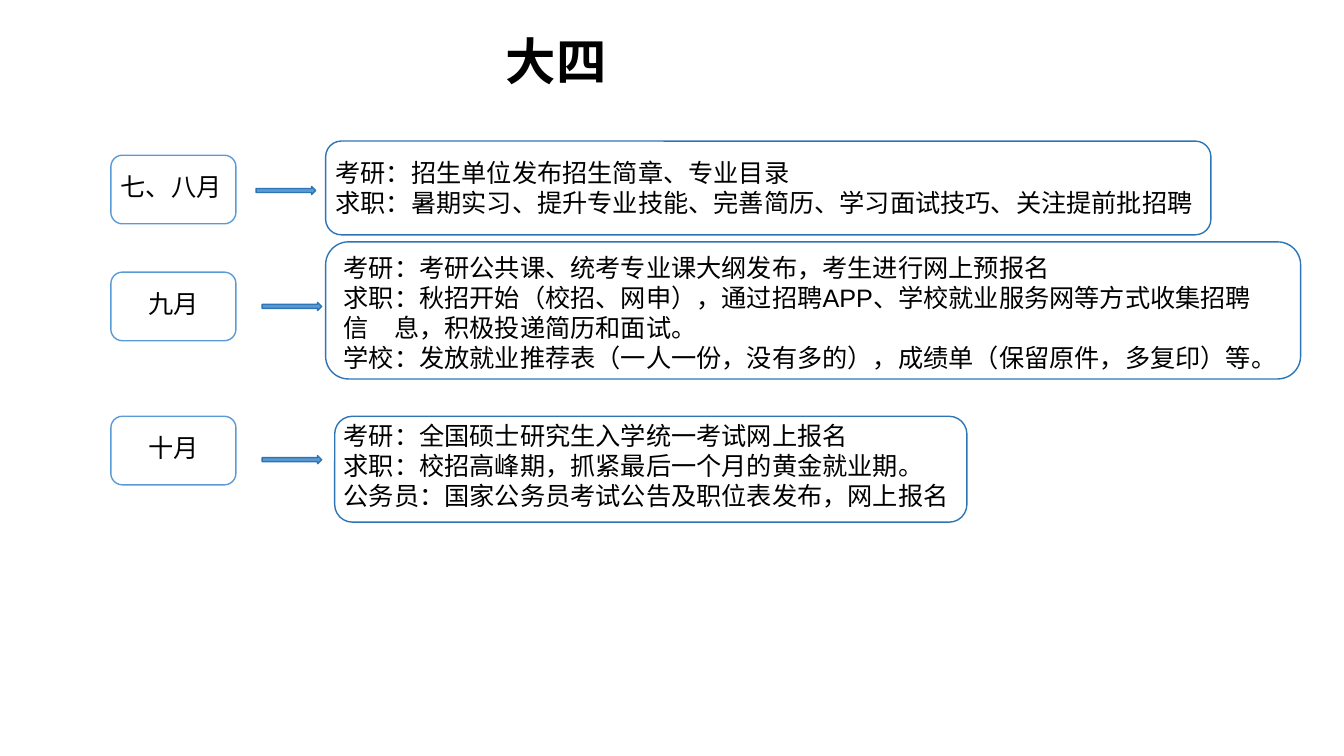
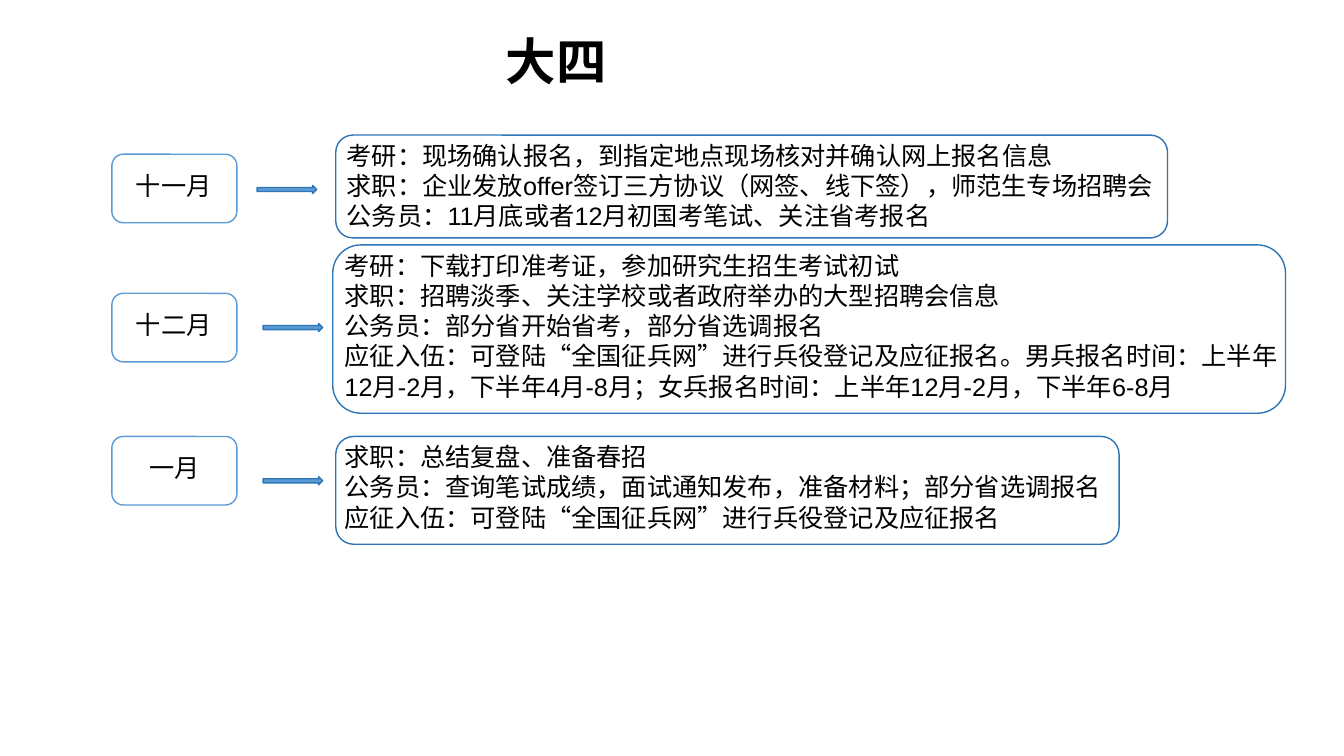
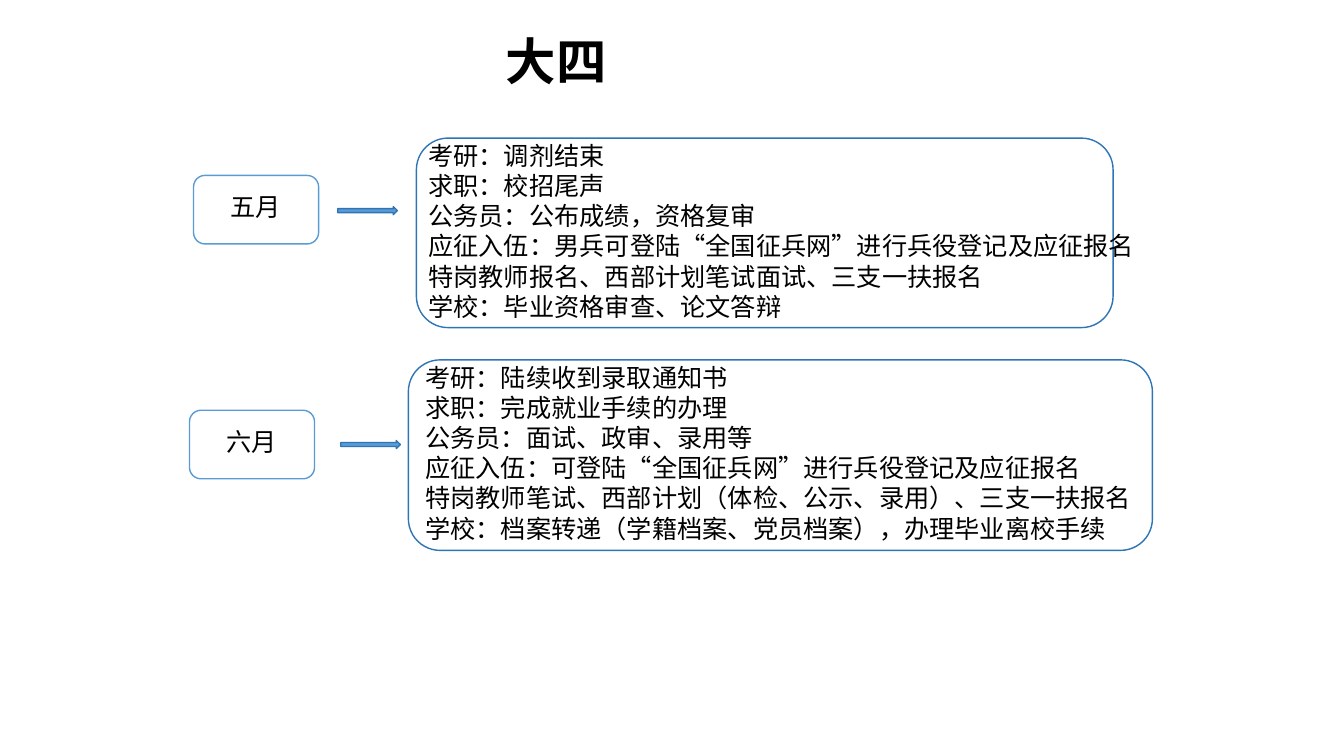
from dataclasses import dataclass

from pptx import Presentation
from pptx.dml.color import RGBColor
from pptx.enum.shapes import MSO_SHAPE as Preset
from pptx.enum.text import MSO_AUTO_SIZE as AutoSize
from pptx.util import Pt

PX = 9144  # EMU per px, 100 px to the inch
SLIDE_W, SLIDE_H = 1333, 750


@dataclass(frozen=True)
class Theme:
    font: str = "Arial"
    ink: RGBColor = RGBColor(0x00, 0x00, 0x00)
    blue: RGBColor = RGBColor(0x5B, 0x9B, 0xD5)
    deep_blue: RGBColor = RGBColor(0x2E, 0x75, 0xB6)
    title_size: int = 36
    body_size: int = 18
    line_width: int = 1


@dataclass(frozen=True)
class Stage:
    """One period of the year; offsets count from the month tag's corner."""
    month: str
    corner: tuple   # left, top of the month tag
    arrow: tuple    # left, top offset
    frame: tuple    # left, top offset, width, height
    notes: tuple    # left, top offset, height
    tasks: tuple


THEME = Theme()
TITLE, TITLE_BOX = "大四", (492, 25, 278, 71)
TAG_SIZE, ARROW_SIZE = (124, 68), (59, 8)
LABEL_TOP, LABEL_H, NOTES_W = 11, 40, 955
# Left offset and width of the month label by number of characters
LABEL_FIT = {2: (27, 92), 3: (14, 105), 4: (0, 124)}

YEAR = (
    (
        Stage("七、八月", (110, 154), (144, 31), (213, -14, 878, 93), (213, -3, 71), (
            "考研：招生单位发布招生简章、专业目录",
            "求职：暑期实习、提升专业技能、完善简历、学习面试技巧、关注提前批招聘",
        )),
        Stage("九月", (110, 270), (150, 30), (213, -30, 967, 136), (221, -25, 131), (
            "考研：考研公共课、统考专业课大纲发布，考生进行网上预报名",
            "求职：秋招开始（校招、网申），通过招聘APP、学校就业服务网等方式收集招聘信　息，积极投递简历和面试。",
            "学校：发放就业推荐表（一人一份，没有多的），成绩单（保留原件，多复印）等。",
        )),
        Stage("十月", (110, 413), (150, 39), (222, 0, 627, 105), (221, -1, 101), (
            "考研：全国硕士研究生入学统一考试网上报名",
            "求职：校招高峰期，抓紧最后一个月的黄金就业期。",
            "公务员：国家公务员考试公告及职位表发布，网上报名",
        )),
    ),
    (
        Stage("十一月", (111, 153), (144, 31), (222, -19, 825, 102), (223, -19, 101), (
            "考研：现场确认报名，到指定地点现场核对并确认网上报名信息",
            "求职：企业发放offer签订三方协议（网签、线下签），师范生专场招聘会",
            "公务员：11月底或者12月初国考笔试、关注省考报名",
        )),
        Stage("十二月", (111, 291), (150, 30), (219, -48, 945, 167), (221, -48, 161), (
            "考研：下载打印准考证，参加研究生招生考试初试",
            "求职：招聘淡季、关注学校或者政府举办的大型招聘会信息",
            "公务员：部分省开始省考，部分省选调报名",
            "应征入伍：可登陆“全国征兵网”进行兵役登记及应征报名。男兵报名时间：上半年12月-2月，下半年4月-8月；女兵报名时间：上半年12月-2月，下半年6-8月",
        )),
        Stage("一月", (111, 433), (150, 40), (222, 0, 777, 107), (221, 0, 101), (
            "求职：总结复盘、准备春招",
            "公务员：查询笔试成绩，面试通知发布，准备材料；部分省选调报名",
            "应征入伍：可登陆“全国征兵网”进行兵役登记及应征报名",
        )),
    ),
    (
        Stage("五月", (192, 174), (143, 31), (221, -37, 691, 188), (223, -40, 192), (
            "考研：调剂结束",
            "求职：校招尾声",
            "公务员：公布成绩，资格复审",
            "应征入伍：男兵可登陆“全国征兵网”进行兵役登记及应征报名",
            "特岗教师报名、西部计划笔试面试、三支一扶报名",
            "学校：毕业资格审查、论文答辩",
        )),
        Stage("六月", (188, 407), (150, 30), (217, -50, 738, 189), (224, -53, 192), (
            "考研：陆续收到录取通知书",
            "求职：完成就业手续的办理",
            "公务员：面试、政审、录用等",
            "应征入伍：可登陆“全国征兵网”进行兵役登记及应征报名",
            "特岗教师笔试、西部计划（体检、公示、录用）、三支一扶报名",
            "学校：档案转递（学籍档案、党员档案），办理毕业离校手续",
        )),
    ),
)


def emu(*lengths):
    return [length * PX for length in lengths]


def add_text(slide, box, lines, size=THEME.body_size, bold=False):
    frame = slide.shapes.add_textbox(*emu(*box)).text_frame
    frame.word_wrap = True
    frame.auto_size = AutoSize.SHAPE_TO_FIT_TEXT
    for index, line in enumerate(lines):
        paragraph = frame.add_paragraph() if index else frame.paragraphs[0]
        run = paragraph.add_run()
        run.text = line
        run.font.name = THEME.font
        run.font.size = Pt(size)
        run.font.bold = bold
        run.font.color.rgb = THEME.ink


def add_outline(slide, preset, box, line, fill=None):
    shape = slide.shapes.add_shape(preset, *emu(*box))
    shape.shadow.inherit = False
    shape.line.color.rgb = line
    shape.line.width = Pt(THEME.line_width)
    if fill is None:
        shape.fill.background()
    else:
        shape.fill.solid()
        shape.fill.fore_color.rgb = fill


def add_stage(slide, stage):
    left, top = stage.corner

    # Month tag
    add_outline(slide, Preset.ROUNDED_RECTANGLE, (left, top, *TAG_SIZE), THEME.blue)
    label_dx, label_w = LABEL_FIT[len(stage.month)]
    add_text(slide, (left + label_dx, top + LABEL_TOP, label_w, LABEL_H), [stage.month])

    # Arrow to the tasks
    dx, dy = stage.arrow
    add_outline(slide, Preset.RIGHT_ARROW, (left + dx, top + dy, *ARROW_SIZE),
                THEME.deep_blue, THEME.blue)

    # Framed tasks
    dx, dy, width, height = stage.frame
    add_outline(slide, Preset.ROUNDED_RECTANGLE, (left + dx, top + dy, width, height),
                THEME.deep_blue)
    dx, dy, height = stage.notes
    notes_w = min(NOTES_W, SLIDE_W - left - dx)
    add_text(slide, (left + dx, top + dy, notes_w, height), stage.tasks)


def add_year_slide(deck, stages):
    slide = deck.slides.add_slide(deck.slide_layouts[6])
    add_text(slide, TITLE_BOX, [TITLE], THEME.title_size, bold=True)
    for stage in stages:
        add_stage(slide, stage)


def main():
    deck = Presentation()
    deck.slide_width, deck.slide_height = emu(SLIDE_W, SLIDE_H)
    for stages in YEAR:
        add_year_slide(deck, stages)
    deck.save("out.pptx")


if __name__ == "__main__":
    main()
